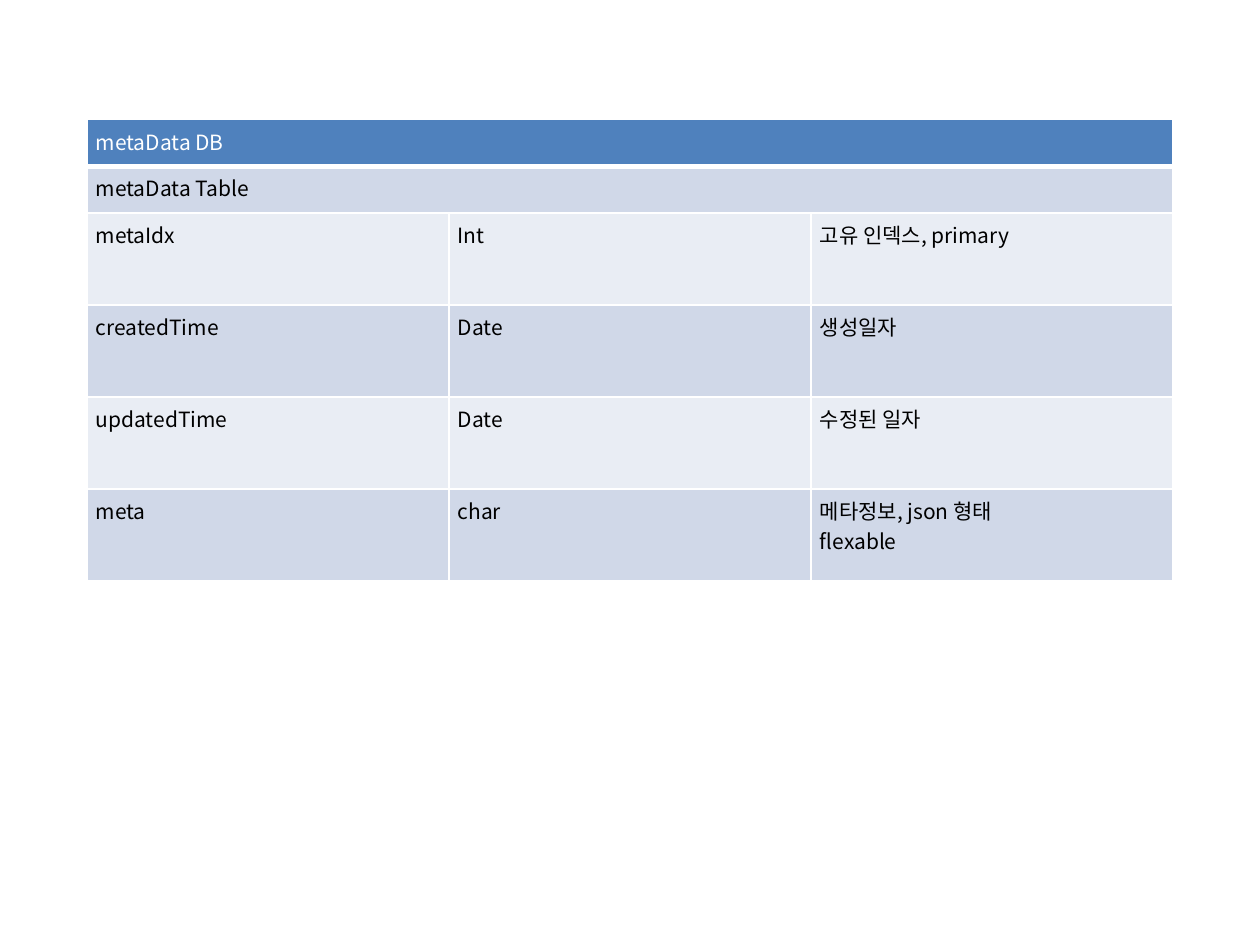
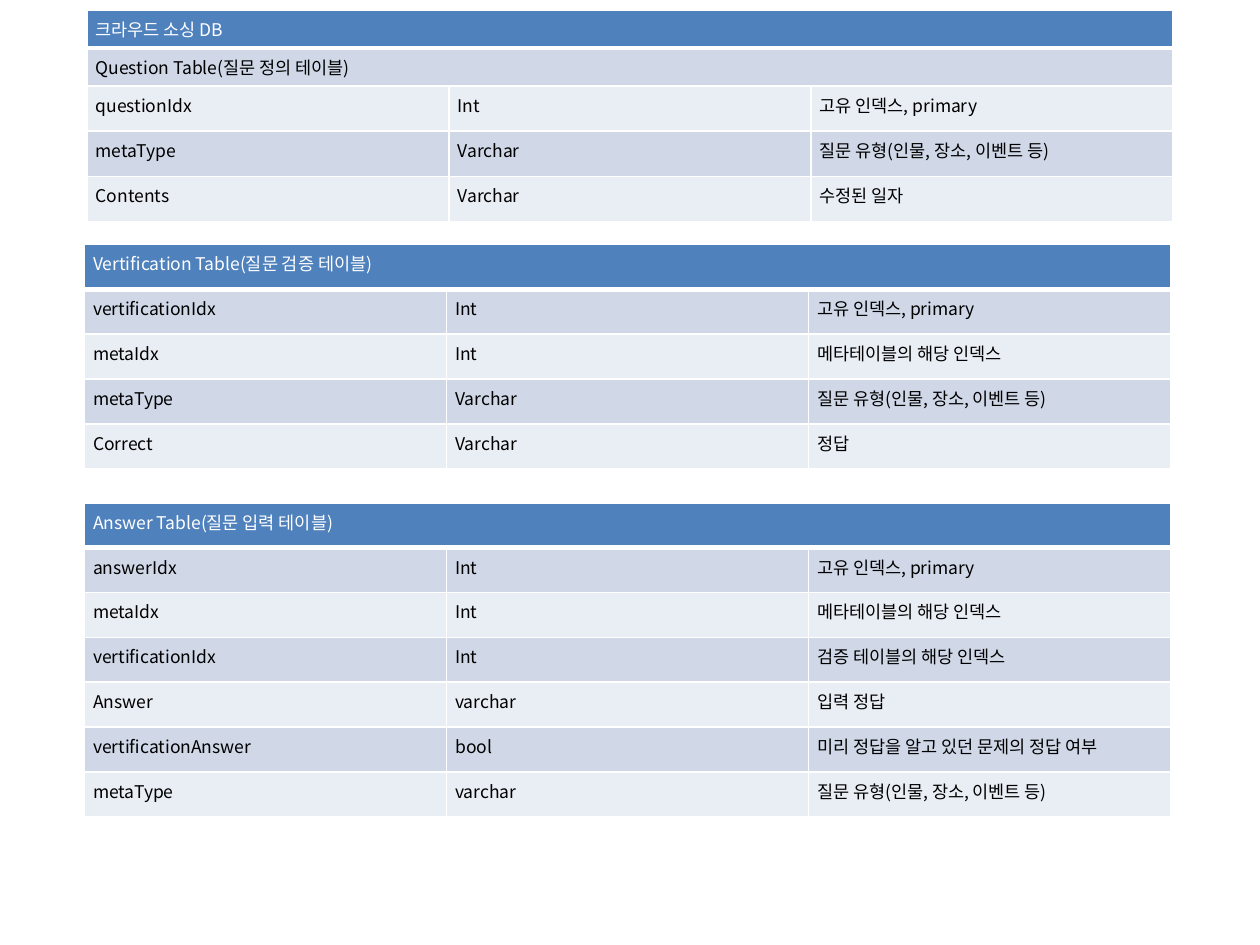
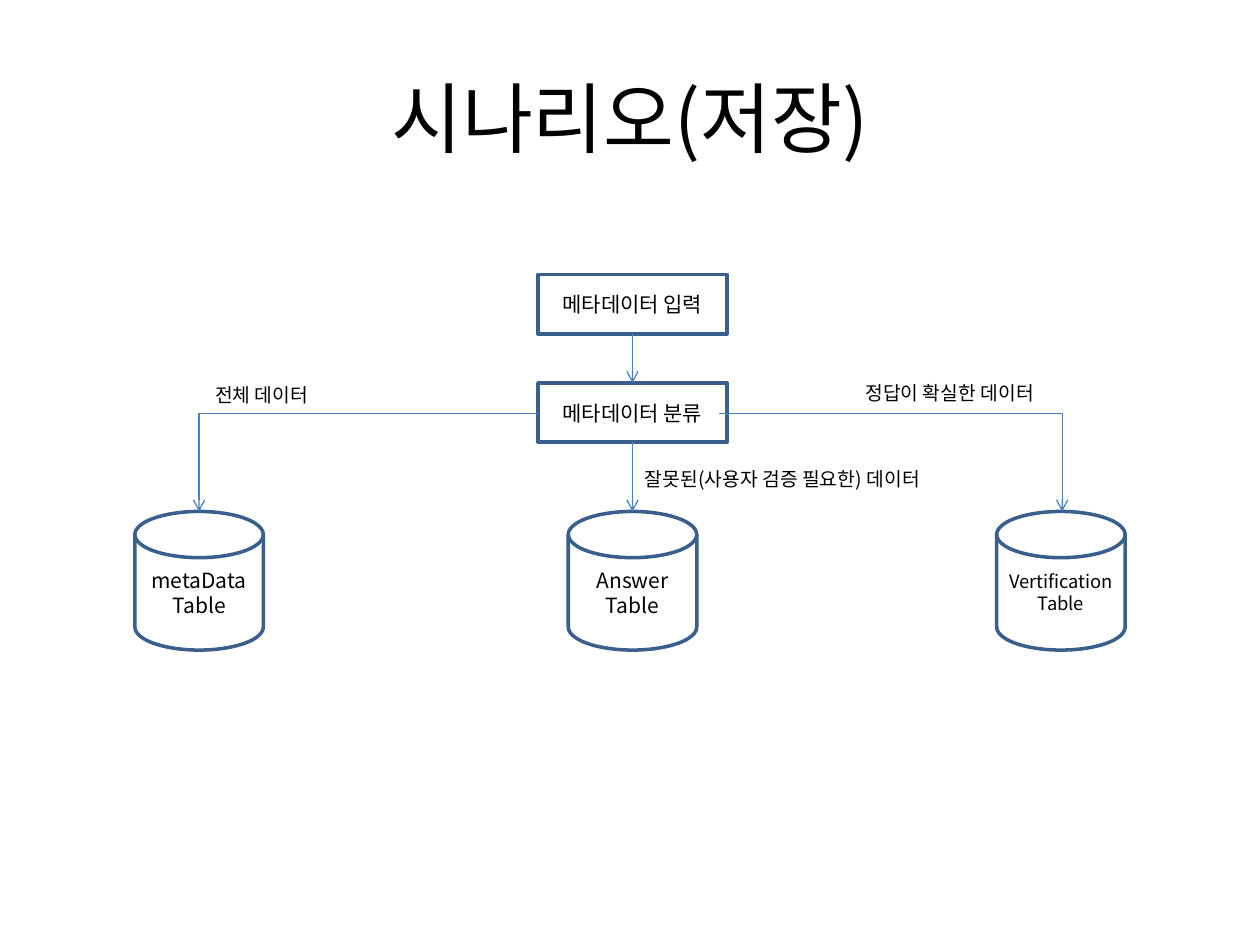
"""Builds the database tables and the storage scenario slides."""
import pptx
import pptx.dml.color
import pptx.enum.shapes
import pptx.enum.text
import pptx.oxml.ns
import pptx.util
from lxml import etree

Inches = pptx.util.Inches
Pt = pptx.util.Pt
qn = pptx.oxml.ns.qn
SHAPE = pptx.enum.shapes.MSO_SHAPE
CONNECTOR = pptx.enum.shapes.MSO_CONNECTOR
ALIGN = pptx.enum.text.PP_ALIGN
ANCHOR = pptx.enum.text.MSO_ANCHOR

FONT = "Noto Sans CJK KR"
WHITE, BLACK = "FFFFFF", "000000"
HEADER, BANDS = "4F81BD", ("E9EDF4", "D0D8E8")
OUTLINE, ARROW = "3A5F8C", "4B7EBC"
COLUMN_WIDTH = 8.62 / 3
PRIMARY_KEY = "고유 인덱스, primary"
META_INDEX = ("metaIdx", "Int", "메타테이블의 해당 인덱스")
QUESTION_KIND = "질문 유형(인물, 장소, 이벤트 등)"


def rgb(value):
    """Turn a hex string into a colour."""
    return pptx.dml.color.RGBColor.from_string(value)


def write(frame, text, size, color=BLACK, align=ALIGN.LEFT):
    """Put text in a frame and format all its runs."""
    frame.text = text
    for paragraph in frame.paragraphs:
        paragraph.alignment = align
        for run in paragraph.runs:
            font = run.font
            font.size, font.bold, font.name = Pt(size), False, FONT
            font.color.rgb = rgb(color)
            etree.SubElement(font._element, qn("a:ea"), typeface=FONT)


def add_borders(cell, bottom):
    """Draw white lines round a cell, the lower one of the given width."""
    properties = cell._tc.get_or_add_tcPr()
    widths = {"lnL": 1, "lnR": 1, "lnT": 1, "lnB": bottom}
    for index, (side, width) in enumerate(widths.items()):
        line = etree.Element(qn(f"a:{side}"), w=str(Pt(width)))
        fill = etree.SubElement(line, qn("a:solidFill"))
        etree.SubElement(fill, qn("a:srgbClr"), val=WHITE)
        properties.insert(index, line)


def add_schema(slide, left, top, heights, size, rows):
    """Add a schema table; a row with one entry spans all columns."""
    frame = slide.shapes.add_table(len(rows), 3, Inches(left), Inches(top),
                                   Inches(COLUMN_WIDTH * 3), Inches(sum(heights)))
    table = frame.table
    for column in table.columns:
        column.width = Inches(COLUMN_WIDTH)
    for index, (entries, height) in enumerate(zip(rows, heights)):
        table.rows[index].height = Inches(height)
        cells = [table.cell(index, column) for column in range(3)]
        if len(entries) == 1:
            cells[0].merge(cells[2])
        for cell in cells:
            cell.margin_left = cell.margin_right = Inches(0.07)
            cell.margin_top = cell.margin_bottom = Inches(0.05)
            cell.fill.solid()
            cell.fill.fore_color.rgb = rgb(BANDS[index % 2] if index else HEADER)
            add_borders(cell, 1 if index else 3)
        for cell, text in zip(cells, entries):
            write(cell.text_frame, text, size, BLACK if index else WHITE)


def add_node(slide, kind, left, top, width, height, text, size=12):
    """Add an outlined shape with centred text."""
    node = slide.shapes.add_shape(kind, Inches(left), Inches(top),
                                  Inches(width), Inches(height))
    node.shadow.inherit = False
    node.fill.background()
    node.line.color.rgb = rgb(OUTLINE)
    node.line.width = Pt(2)
    node.text_frame.vertical_anchor = ANCHOR.MIDDLE
    write(node.text_frame, text, size, align=ALIGN.CENTER)
    return node


def add_step(slide, top, text):
    """Add a process step on the middle axis."""
    return add_node(slide, SHAPE.RECTANGLE, 4.27, top, 1.5, 0.47, text)


def add_store(slide, left, text, size=12):
    """Add a database cylinder in the bottom row."""
    add_node(slide, SHAPE.FLOWCHART_MAGNETIC_DISK, left, 4.06, 1.02, 1.1, text, size)


def add_arrow(slide, start, end, bent=False):
    """Add an arrow, straight or with one right-angled bend."""
    kind = CONNECTOR.ELBOW if bent else CONNECTOR.STRAIGHT
    arrow = slide.shapes.add_connector(kind, *map(Inches, start + end))
    arrow.line.color.rgb = rgb(ARROW)
    arrow.line.width = Pt(0.75)
    properties = arrow._element.spPr
    if bent:
        properties.find(qn("a:prstGeom")).set("prst", "bentConnector2")
    etree.SubElement(properties.find(qn("a:ln")), qn("a:tailEnd"), type="arrow")
    etree.SubElement(properties, qn("a:effectLst"))
    return arrow


def add_title(slide, text):
    """Add the centred slide title."""
    title = slide.shapes.add_textbox(Inches(0.5), Inches(0.3), Inches(9), Inches(1.25))
    title.text_frame.word_wrap = True
    title.text_frame.vertical_anchor = ANCHOR.MIDDLE
    write(title.text_frame, text, 44, align=ALIGN.CENTER)


def add_label(slide, left, top, width, text):
    """Add an arrow label on one line."""
    label = slide.shapes.add_textbox(Inches(left), Inches(top), Inches(width), Inches(0.29))
    label.text_frame.word_wrap = False
    label.text_frame.auto_size = pptx.enum.text.MSO_AUTO_SIZE.SHAPE_TO_FIT_TEXT
    write(label.text_frame, text, 11)


def build_metadata(slide):
    """Show the metadata database."""
    add_schema(slide, 0.69, 0.95, [0.37] * 2 + [0.73] * 4, 12, [
        ("metaData DB",),
        ("metaData Table",),
        ("metaIdx", "Int", PRIMARY_KEY),
        ("createdTime", "Date", "생성일자"),
        ("updatedTime", "Date", "수정된 일자"),
        ("meta", "char", "메타정보, json 형태\nflexable"),
    ])


def build_crowdsourcing(slide):
    """Show the three crowdsourcing tables."""
    add_schema(slide, 0.69, 0.08, [0.19] * 2 + [0.36] * 3, 10, [
        ("크라우드 소싱 DB",),
        ("Question Table(질문 정의 테이블)",),
        ("questionIdx", "Int", PRIMARY_KEY),
        ("metaType", "Varchar", QUESTION_KIND),
        ("Contents", "Varchar", "수정된 일자"),
    ])
    add_schema(slide, 0.67, 1.94, [0.356] * 5, 10, [
        ("Vertification Table(질문 검증 테이블)",),
        ("vertificationIdx", "Int", PRIMARY_KEY),
        META_INDEX,
        ("metaType", "Varchar", QUESTION_KIND),
        ("Correct", "Varchar", "정답"),
    ])
    add_schema(slide, 0.67, 3.99, [0.356] * 7, 10, [
        ("Answer Table(질문 입력 테이블)",),
        ("answerIdx", "Int", PRIMARY_KEY),
        META_INDEX,
        ("vertificationIdx", "Int", "검증 테이블의 해당 인덱스"),
        ("Answer", "varchar", "입력 정답"),
        ("vertificationAnswer", "bool", "미리 정답을 알고 있던 문제의 정답 여부"),
        ("metaType", "varchar", QUESTION_KIND),
    ])


def build_scenario(slide):
    """Show how metadata is sorted into the tables."""
    add_title(slide, "시나리오(저장)")
    entry = add_step(slide, 2.18, "메타데이터 입력")
    sorting = add_step(slide, 3.04, "메타데이터 분류")
    add_store(slide, 1.07, "metaData\nTable")
    add_store(slide, 4.51, "Answer\nTable")
    add_store(slide, 7.91, "Vertification\nTable", 10.5)

    add_arrow(slide, (4.27, 3.28), (1.58, 4.06), bent=True)
    add_arrow(slide, (5.71, 3.28), (8.43, 4.06), bent=True)
    entry_to_sorting = add_arrow(slide, (5.02, 2.65), (5.02, 3.04))
    entry_to_sorting.begin_connect(entry, 2)
    entry_to_sorting.end_connect(sorting, 0)
    sorting_to_answer = add_arrow(slide, (5.02, 3.51), (5.02, 4.06))
    sorting_to_answer.begin_connect(sorting, 2)

    add_label(slide, 1.61, 2.99, 1.03, "전체 데이터")
    add_label(slide, 5.02, 3.66, 2.62, "잘못된(사용자 검증 필요한) 데이터")
    add_label(slide, 6.77, 2.98, 1.7, "정답이 확실한 데이터")


def main():
    """Build and save the presentation."""
    deck = pptx.Presentation()
    deck.slide_width, deck.slide_height = Inches(10), Inches(7.5)
    for build in (build_metadata, build_crowdsourcing, build_scenario):
        build(deck.slides.add_slide(deck.slide_layouts[6]))
    deck.save("out.pptx")


if __name__ == "__main__":
    main()
